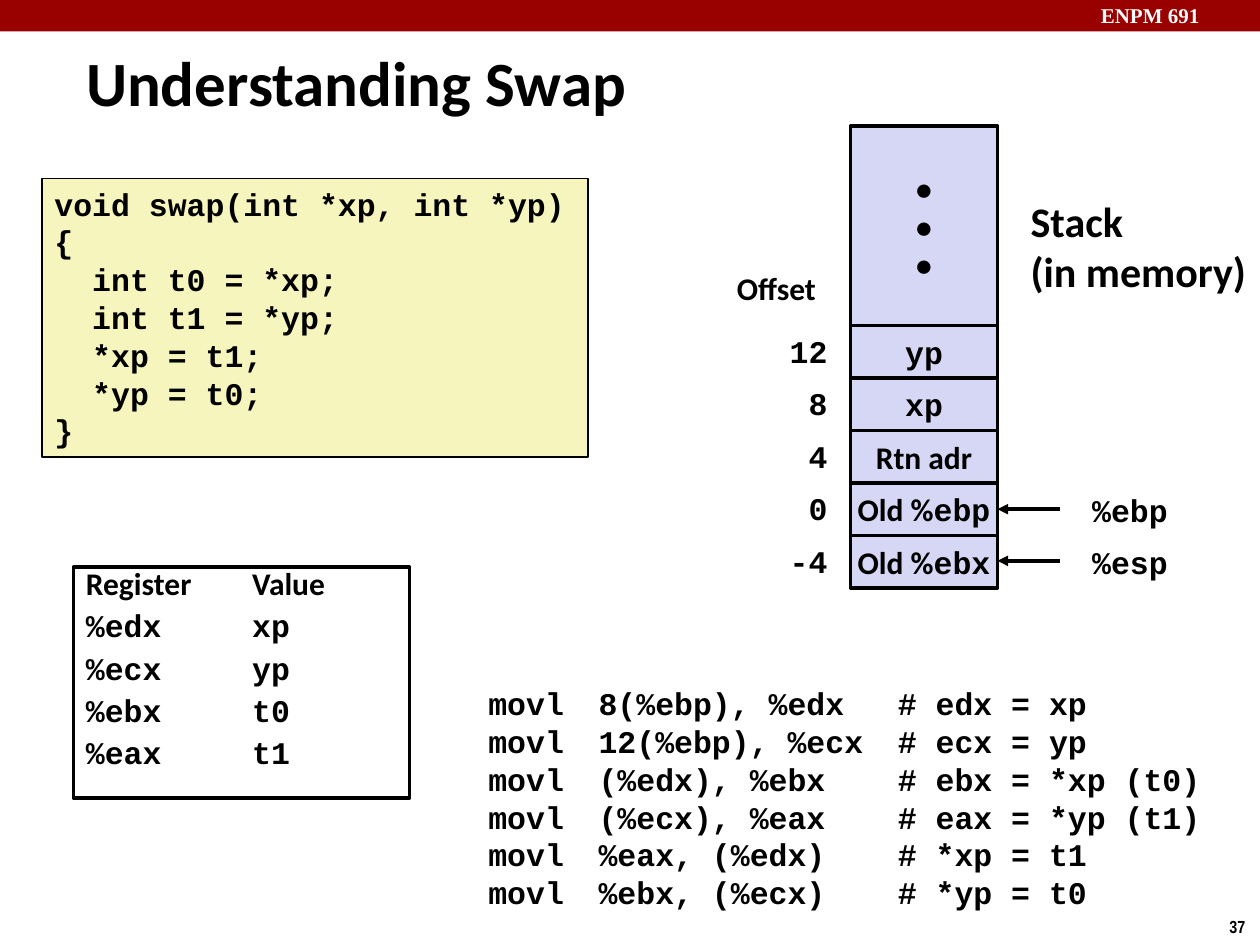
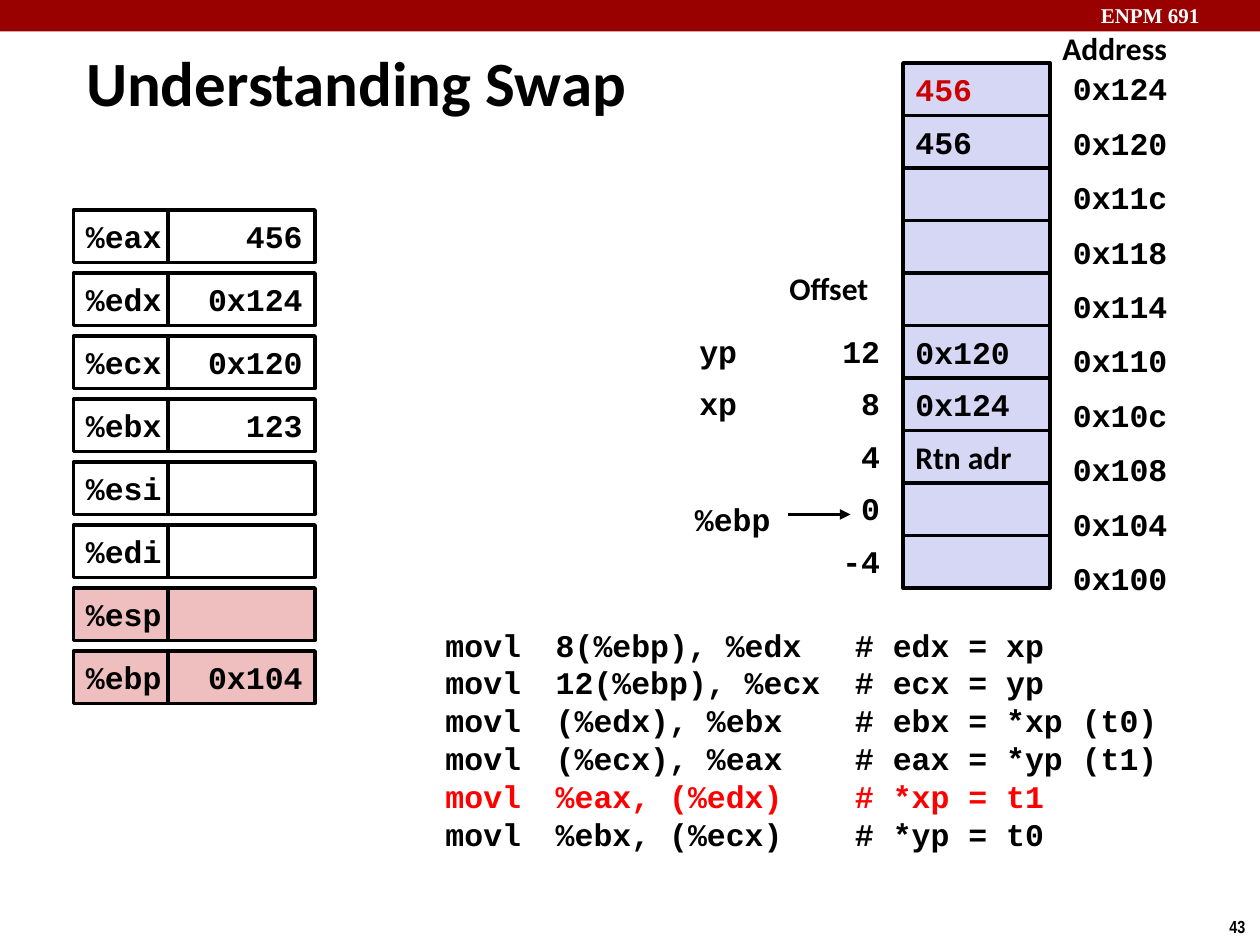
from lxml import etree
from pptx import Presentation
from pptx.dml.color import RGBColor
from pptx.enum import shapes, text
from pptx.oxml import ns
from pptx.util import Pt

COLORS = {
    "band": "990000", "ink": "000000", "paper": "FFFFFF", "code": "F6F5BD",
    "stack": "D6D6F5", "pointer": "EFBFBF", "changed": "CC0000", "current": "FF0000",
}
MONO, SANS, SERIF, NARROW = "Courier New", "Calibri", "Times New Roman", "Arial Narrow"
LEFT, CENTER, RIGHT = text.PP_ALIGN.LEFT, text.PP_ALIGN.CENTER, text.PP_ALIGN.RIGHT
TOP, MIDDLE = text.MSO_ANCHOR.TOP, text.MSO_ANCHOR.MIDDLE
ROW, CELL_W, LABEL_H = 30, 84, 29
CODE_PITCH = 21.6

SWAP_SOURCE = [
    "void swap(int *xp, int *yp)",
    "{",
    "  int t0 = *xp;",
    "  int t1 = *yp;",
    "  *xp = t1;",
    "  *yp = t0;",
    "}",
]
INSTRUCTIONS = [
    ("8(%ebp), %edx", "# edx = xp"),
    ("12(%ebp), %ecx", "# ecx = yp"),
    ("(%edx), %ebx", "# ebx = *xp (t0)"),
    ("(%ecx), %eax", "# eax = *yp (t1)"),
    ("%eax, (%edx)", "# *xp = t1"),
    ("%ebx, (%ecx)", "# *yp = t0"),
]
REGISTER_USE = ["Register\tValue", "%edx\txp", "%ecx\typ", "%ebx\tt0", "%eax\tt1"]
REGISTERS = [("%eax", "456"), ("%edx", "0x124"), ("%ecx", "0x120"), ("%ebx", "123"),
             ("%esi", ""), ("%edi", ""), ("%esp", ""), ("%ebp", "0x104")]
POINTER_REGISTERS = ("%esp", "%ebp")


def rgb(name):
    return RGBColor.from_string(COLORS[name])


def set_font(font, name=MONO, size=18, color="ink"):
    font.name, font.size, font.bold = name, Pt(size), True
    font.color.rgb = rgb(color)


def add_tabs(p, stops):
    tabs = etree.SubElement(p._p.get_or_add_pPr(), ns.qn("a:tabLst"))
    for stop in stops:
        etree.SubElement(tabs, ns.qn("a:tab"), pos=str(Pt(stop)), algn="l")


def write(sp, lines, font=MONO, size=18, color="ink", align=LEFT, anchor=TOP,
          wrap=True, tabs=(), pitch=None, gap=0):
    tf = sp.text_frame
    tf.word_wrap, tf.vertical_anchor = wrap, anchor
    for i, line in enumerate(lines):
        p = tf.paragraphs[0] if i == 0 else tf.add_paragraph()
        p.alignment = align
        if tabs:
            add_tabs(p, tabs)
        if pitch:
            p.line_spacing = Pt(pitch)
        if gap and i:
            p.space_before = Pt(gap)
        if isinstance(line, str):
            p.add_run().text = line
            set_font(p.font, font, size, color)
        else:
            for words, name in line:
                r = p.add_run()
                r.text = words
                set_font(r.font, name, size, color)
    return tf


def add_label(slide, box, *lines, **style):
    return write(slide.shapes.add_textbox(*map(Pt, box)), lines, **style)


def add_rect(slide, box, fill=None, line=2):
    sp = slide.shapes.add_shape(shapes.MSO_SHAPE.RECTANGLE, *map(Pt, box))
    sp.shadow.inherit = False
    if fill:
        sp.fill.solid()
        sp.fill.fore_color.rgb = rgb(fill)
    else:
        sp.fill.background()
    if line:
        sp.line.color.rgb, sp.line.width = rgb("ink"), Pt(line)
    else:
        sp.line.fill.background()
    return sp


def add_cell(slide, box, fill, *lines, **style):
    sp = add_rect(slide, box, fill)
    if any(lines):
        write(sp, lines, anchor=MIDDLE, wrap=False, **style)


def add_arrow(slide, x1, x2, y):
    line = slide.shapes.add_connector(shapes.MSO_CONNECTOR.STRAIGHT, Pt(x1), Pt(y), Pt(x2), Pt(y))
    line.line.color.rgb, line.line.width = rgb("ink"), Pt(2)
    etree.SubElement(line.line._get_or_add_ln(), ns.qn("a:tailEnd"), type="triangle")
    etree.SubElement(line._element.spPr, ns.qn("a:effectLst"))


def new_slide(prs, number):
    slide = prs.slides.add_slide(prs.slide_layouts[5])
    add_rect(slide, (0, 0, 720, 18), "band", line=None)
    add_label(slide, (622, -2, 103, 22), "ENPM 691", font=SERIF, size=12, color="paper")
    add_label(slide, (695.5, 520, 24.5, 19), number, font=NARROW, size=10)
    title = slide.shapes.title
    title.left, title.top, title.width, title.height = map(Pt, (42, 24, 502, 45))
    write(title, ["Understanding Swap"], font=SANS, size=36, anchor=MIDDLE)
    return slide


def draw_offsets(slide, stack_left, top):
    add_label(slide, (stack_left - 72, top - 36, 64, LABEL_H), "Offset", font=SANS)
    for i, offset in enumerate(range(12, -8, -4)):
        add_label(slide, (stack_left - 42, top + i * ROW, 36, LABEL_H), str(offset), align=RIGHT, wrap=False)


def draw_source(slide, box):
    write(add_rect(slide, box, "code", line=1), SWAP_SOURCE, pitch=CODE_PITCH)


def draw_register_use(slide, box):
    sp = add_rect(slide, box)
    tf = write(sp, REGISTER_USE[:1], font=SANS, tabs=[95], pitch=15)
    tf.margin_top = Pt(5)
    for row in REGISTER_USE[1:]:
        p = tf.add_paragraph()
        p.alignment = LEFT
        add_tabs(p, [95])
        p.line_spacing, p.space_before = Pt(15), Pt(9.2)
        p.add_run().text = row
        set_font(p.font)


def draw_instructions(slide, left, top, current=None):
    sp = slide.shapes.add_textbox(Pt(left), Pt(top), Pt(468), Pt(138))
    lines = ["\t".join(("", "movl", *parts)) for parts in INSTRUCTIONS]
    tf = write(sp, lines, tabs=[31.5, 94.5, 265.5], pitch=CODE_PITCH)
    if current is not None:
        tf.paragraphs[current].font.color.rgb = rgb("current")


def draw_frame_stack(slide, left, top):
    add_cell(slide, (left, top, CELL_W, 114), "stack", "•", "•", "•", font=SANS, align=CENTER)
    base = top + 114
    frame = ["yp", "xp", [("Rtn adr", SANS)],
             [("Old %", SANS), ("ebp", MONO)], [("Old %", SANS), ("ebx", MONO)]]
    for i, entry in enumerate(frame):
        add_cell(slide, (left, base + i * ROW, CELL_W, ROW), "stack", entry, align=CENTER)
    draw_offsets(slide, left, base)
    for i, register in enumerate(("%ebp", "%esp")):
        y = base + 105 + i * 29.5
        add_arrow(slide, left + 120, left + CELL_W, y)
        add_label(slide, (left + 131, y - 14, 60, LABEL_H), register)
    add_label(slide, (left + 95.8, top + 36, 140, 65.5), "Stack", "(in memory)", font=SANS, size=24)


def draw_memory_stack(slide, left, top):
    values = ["456", "456", "", "", "", "0x120", "0x124", "Rtn adr", "", ""]
    add_label(slide, (left + 84, top - 23, 77, LABEL_H), "Address", font=SANS)
    for i, value in enumerate(values):
        add_cell(slide, (left, top + i * ROW, CELL_W, ROW), "stack", value,
                 font=SANS if value == "Rtn adr" else MONO,
                 color="ink" if i else "changed")
        add_label(slide, (left + 90, top + i * 31.12, 96, LABEL_H), f"0x{0x124 - 4 * i:x}")
    base = top + 5 * ROW
    draw_offsets(slide, left, base)
    for i, name in enumerate(("yp", "xp")):
        tf = add_label(slide, (left - 120, base + i * ROW, 52, LABEL_H), name)
        tf.margin_left = tf.margin_right = Pt(3.6)
    add_label(slide, (left - 126, base + 96, 60, LABEL_H), "%ebp")
    add_arrow(slide, left - 66, left - 30, base + 108)


def draw_registers(slide, left, top):
    for i, (name, value) in enumerate(REGISTERS):
        y = top + i * 36
        fill = "pointer" if name in POINTER_REGISTERS else "paper"
        add_cell(slide, (left, y, 54, ROW), fill, name)
        add_cell(slide, (left + 54, y, CELL_W, ROW), fill, value, align=RIGHT)


def build_overview(prs):
    slide = new_slide(prs, "37")
    draw_source(slide, (24, 102, 312, 159))
    draw_register_use(slide, (42, 324, 192, 132))
    draw_frame_stack(slide, 486, 72)
    draw_instructions(slide, 240.5, 387.5)


def build_step(prs):
    slide = new_slide(prs, "43")
    draw_memory_stack(slide, 516, 36)
    draw_registers(slide, 42, 120)
    draw_instructions(slide, 216, 354, current=4)


def main():
    prs = Presentation()
    prs.slide_width, prs.slide_height = Pt(720), Pt(540)
    build_overview(prs)
    build_step(prs)
    prs.save("out.pptx")


if __name__ == "__main__":
    main()
